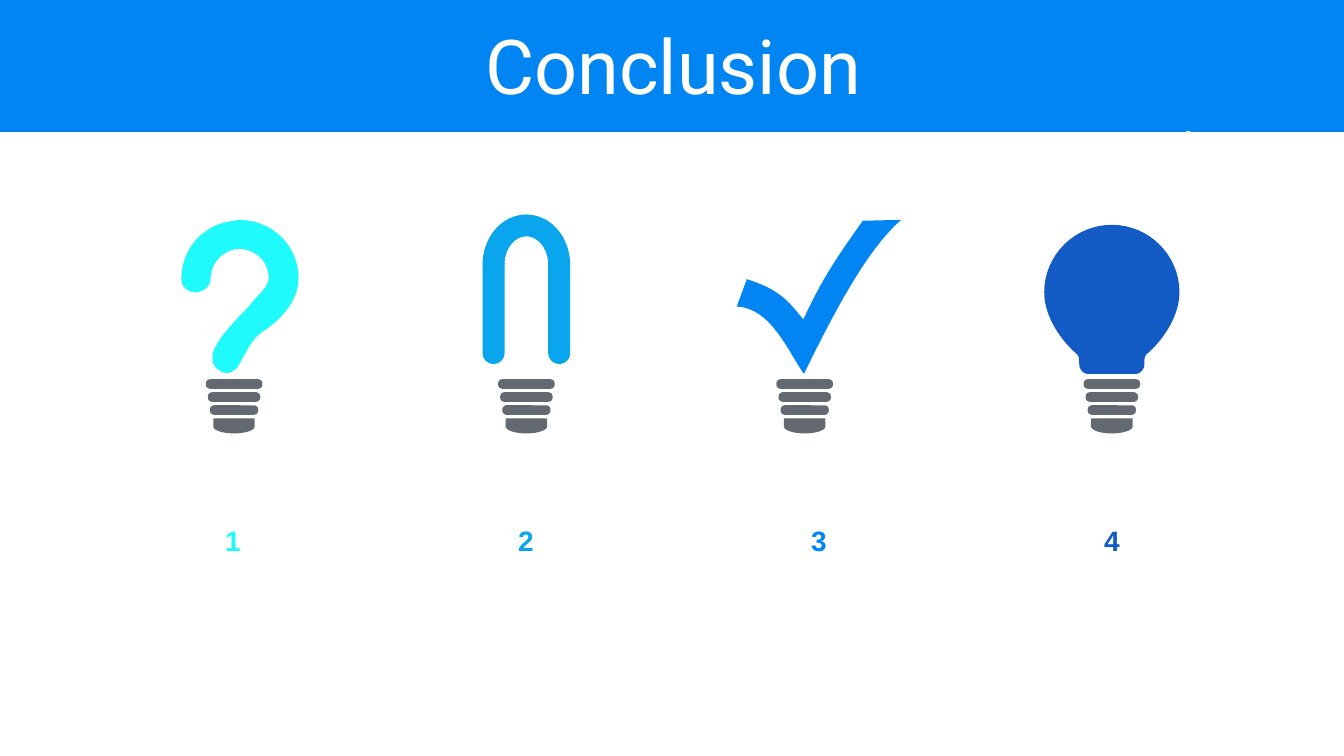
"""Build the Conclusion slide with four numbered idea bulbs."""
from dataclasses import dataclass

import pptx
from lxml import etree
from pptx import util as u
from pptx.dml import color
from pptx.enum import shapes, text
from pptx.oxml import ns
from pptx.shapes import autoshape, shapetree

Point = tuple[float, float]
Segment = tuple[Point, ...]

WHITE = color.RGBColor(0xFF, 0xFF, 0xFF)
BLUE = color.RGBColor(0x00, 0x85, 0xF2)
CYAN = color.RGBColor(0x1F, 0xFB, 0xFD)
SKY = color.RGBColor(0x0A, 0xA6, 0xED)
NAVY = color.RGBColor(0x12, 0x5A, 0xC4)
SLATE = color.RGBColor(0x22, 0x2A, 0x35)
SOCKET_ALPHA = 70
CURVE_STEPS = 16

QUESTION: list[Segment] = [
    ((170.6, 157),),
    ((190.1, 157), (208.1, 169.9), (212.4, 190.1)),
    ((216.7, 210.2), (204.5, 226.1), (186.5, 237.6)),
    ((179.3, 243.4), (176.4, 250.6), (171.4, 259.2)),
    ((169.2, 264.2), (164.9, 266.4), (162, 266.4)),
    ((158.4, 266.4), (152.6, 262.8), (151.9, 257.8)),
    ((151.9, 252.7),),
    ((154.1, 244.1), (164.9, 231.8), (177.8, 218.9)),
    ((185, 208.8), (194.4, 204.5), (191.5, 194.4)),
    ((189.4, 183.6), (179.3, 177.1), (169.2, 177.8)),
    ((158.4, 179.3), (150.5, 188.6), (150.5, 198.7)),
    ((150.5, 204), (145.4, 208.8), (139.7, 208.8)),
    ((133.9, 208.8), (129.6, 204.5), (129.6, 199.4)),
    ((129.6, 198.7),),
    ((129.6, 177.8), (145.4, 159.8), (167, 157.7)),
]
CHECK: list[Segment] = [
    ((643.7, 157),),
    ((618.5, 178.6), (593.3, 228.2), (574.6, 266.4)),
    ((573.8, 266.4),),
    ((562.3, 249.8), (550.8, 220.3), (526.3, 218.9)),
    ((533.5, 199.4),),
    ((555.8, 206.6), (562.3, 213.8), (573.8, 228.2)),
    ((586.8, 200.9), (593.3, 190.1), (616.3, 157.7)),
]
HALF_BULB: list[Segment] = [
    ((0, 160.6),),
    ((26.6, 160.6), (48.3, 182.2), (48.3, 208.8)),
    ((48.3, 226.8), (35.3, 244.1), (25.2, 252.7)),
    ((22.3, 255.6), (23.8, 257.8), (23, 262.1)),
    ((21.6, 265.7), (19.4, 267.1), (16.6, 267.1)),
    ((0, 267.1),),
]
HALF_CAP: list[Segment] = [
    ((0, 298.8),),
    ((14.8, 298.8),),
    ((14.8, 304.6),),
    ((14.8, 307.4), (8, 309.6), (0, 309.6)),
]


@dataclass(frozen=True)
class Idea:
    """A numbered column with its socket centre and colour."""
    number: str
    centre: float
    tint: color.RGBColor


IDEAS = [
    Idea("1", 167.2, CYAN),
    Idea("2", 376, SKY),
    Idea("3", 574.8, BLUE),
    Idea("4", 794.2, NAVY),
]


def flatten(segments: list[Segment]) -> list[Point]:
    """Turn lines and cubic curves into a run of points."""
    points = [segments[0][0]]
    for segment in segments[1:]:
        if len(segment) == 1:
            points.append(segment[0])
            continue
        controls = (points[-1], *segment)
        for step in range(1, CURVE_STEPS + 1):
            t = step / CURVE_STEPS
            weights = ((1 - t) ** 3, 3 * t * (1 - t) ** 2, 3 * t * t * (1 - t), t ** 3)
            points.append((sum(w * p[0] for w, p in zip(weights, controls)),
                           sum(w * p[1] for w, p in zip(weights, controls))))
    return points


def mirror(half: list[Segment], centre: float) -> list[Point]:
    """Complete a right half into a symmetric outline about the centre."""
    right = flatten(half)
    return ([(centre + x, y) for x, y in right]
            + [(centre - x, y) for x, y in reversed(right)])


def paint(part: autoshape.Shape, tint: color.RGBColor, alpha: int = 100) -> autoshape.Shape:
    """Give a part a flat fill without line or shadow."""
    part.shadow.inherit = False
    part.line.fill.background()
    part.fill.solid()
    part.fill.fore_color.rgb = tint
    if alpha < 100:
        swatch = part.fill._xPr.find(ns.qn("a:solidFill"))[0]
        etree.SubElement(swatch, ns.qn("a:alpha"), val=str(alpha * 1000))
    return part


def add_preset(canvas: shapetree.SlideShapes, kind: shapes.MSO_SHAPE, left: float, top: float,
               width: float, height: float, tint: color.RGBColor,
               alpha: int = 100) -> autoshape.Shape:
    """Draw a preset shape."""
    part = canvas.add_shape(kind, u.Pt(left), u.Pt(top), u.Pt(width), u.Pt(height))
    return paint(part, tint, alpha)


def add_outline(canvas: shapetree.SlideShapes, points: list[Point], tint: color.RGBColor,
                alpha: int = 100) -> None:
    """Draw a closed outline."""
    start, *rest = [(u.Pt(x), u.Pt(y)) for x, y in points]
    builder = canvas.build_freeform(*start)
    builder.add_line_segments(rest, close=True)
    paint(builder.convert_to_shape(), tint, alpha)


def add_text(canvas: shapetree.SlideShapes, words: str, *, left: float, top: float,
             width: float, height: float, size: float, font: str, tint: color.RGBColor,
             bold: bool = False, spacing: float = 1.0,
             anchor: text.MSO_ANCHOR = text.MSO_ANCHOR.TOP) -> None:
    """Write one centred line of formatted text."""
    frame = canvas.add_textbox(u.Pt(left), u.Pt(top), u.Pt(width), u.Pt(height)).text_frame
    frame.word_wrap = True
    frame.vertical_anchor = anchor
    line = frame.paragraphs[0]
    line.alignment = text.PP_ALIGN.CENTER
    line.line_spacing = spacing
    run = line.add_run()
    run.text = words
    run.font.size = u.Pt(size)
    run.font.name = font
    run.font.bold = bold
    run.font.color.rgb = tint


def add_socket(canvas: shapetree.SlideShapes, centre: float) -> None:
    """Draw the three screw rings and the cap of a bulb."""
    for ring in range(3):
        width = 40.4 - 3 * ring
        thread = add_preset(canvas, shapes.MSO_SHAPE.ROUNDED_RECTANGLE, centre - width / 2,
                            270.9 + 9.3 * ring, width, 6.8, SLATE, SOCKET_ALPHA)
        thread.adjustments[0] = 0.42
    add_outline(canvas, mirror(HALF_CAP, centre), SLATE, SOCKET_ALPHA)


def add_magnet(canvas: shapetree.SlideShapes, tint: color.RGBColor) -> None:
    """Draw the arch and its two round-ended legs."""
    add_preset(canvas, shapes.MSO_SHAPE.BLOCK_ARC, 344.7, 153.2, 62.6, 72, tint)
    for left in (344.7, 391.6):
        leg = add_preset(canvas, shapes.MSO_SHAPE.ROUND_2_SAME_RECTANGLE,
                         left, 188, 15.7, 72, tint)
        leg.adjustments[0] = 0.5
        leg.rotation = 180


def main() -> None:
    """Compose and save the slide."""
    deck = pptx.Presentation()
    deck.slide_width, deck.slide_height = u.Pt(960), u.Pt(540)
    canvas = deck.slides.add_slide(deck.slide_layouts[6]).shapes

    add_preset(canvas, shapes.MSO_SHAPE.RECTANGLE, 0, 0, 960, 94.3, BLUE)
    add_preset(canvas, shapes.MSO_SHAPE.RECTANGLE, 847.4, 93.6, 2.9, 0.7, WHITE)
    add_text(canvas, "Conclusion", left=25.2, top=21.6, width=911.5, height=56.9, size=54,
             font="Roboto", tint=WHITE, spacing=0.9, anchor=text.MSO_ANCHOR.MIDDLE)

    for column, idea in enumerate(IDEAS):
        add_socket(canvas, idea.centre)
        add_text(canvas, idea.number, left=69.1 + 209.3 * column, top=370.5, width=194.4,
                 height=31.7, size=20, font="Arial", tint=idea.tint, bold=True)
    add_outline(canvas, flatten(QUESTION), CYAN)
    add_magnet(canvas, SKY)
    add_outline(canvas, flatten(CHECK), BLUE)
    add_outline(canvas, mirror(HALF_BULB, IDEAS[3].centre), NAVY)
    deck.save("out.pptx")


if __name__ == "__main__":
    main()
